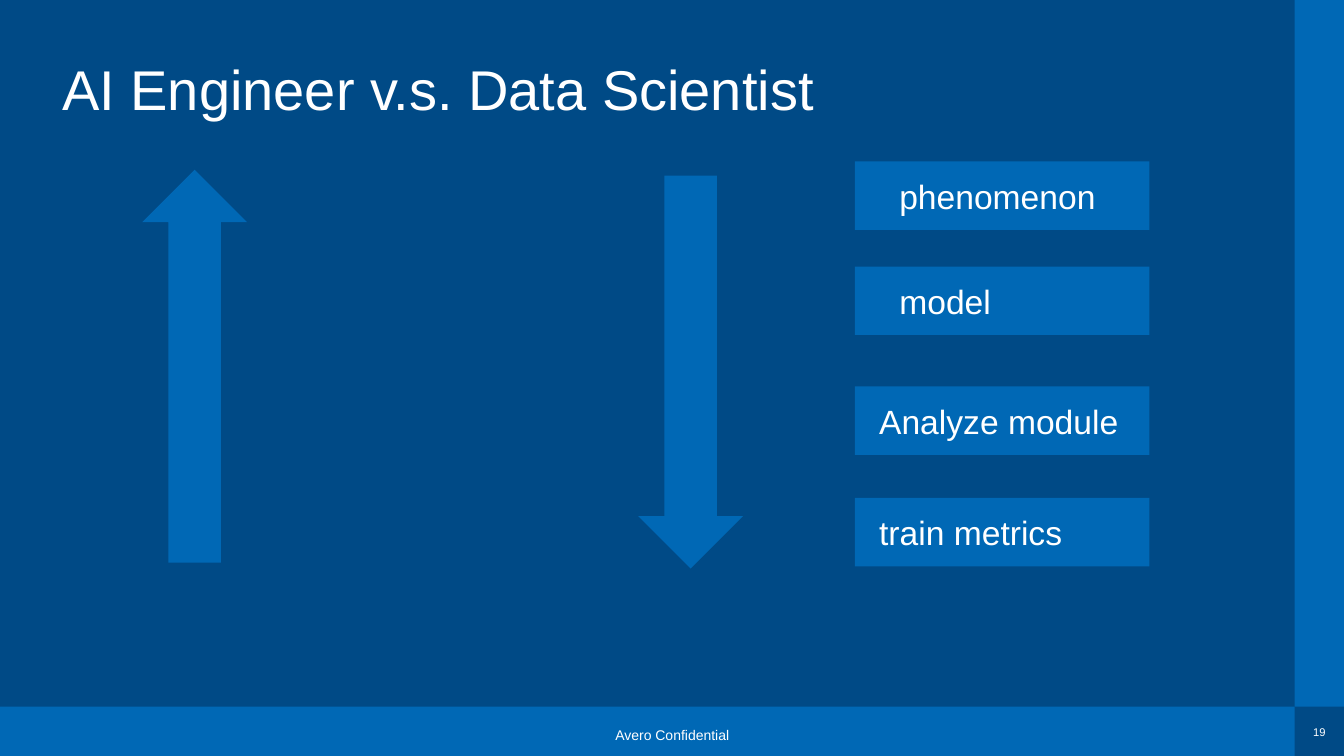
"""Build the AI engineer versus data scientist slide."""
from pptx import Presentation
from pptx.dml.color import RGBColor
from pptx.enum import shapes, text
from pptx.util import Pt

TITLE = "AI Engineer v.s. Data Scientist"
FOOTER = "Avero Confidential"
PAGE = "19"
STEPS = [
    ("phenomenon", 115.3, 31.7),
    ("model", 190.4, 31.7),
    ("Analyze module", 276, 17.3),
    ("train metrics", 355.7, 17.3),
]
ARROWS = [("DOWN_ARROW", 455.8, 125.5), ("UP_ARROW", 101.5, 121.2)]

THEME = {
    "font": "Arial", "ground": "004A86", "accent": "0068B5", "ink": "FFFFFF",
    "title": 40, "step": 24, "footer": 10, "page": 8,
}
WIDTH, HEIGHT, BAND = 960, 540, 35.3
STEP_LEFT, STEP_SIZE = 610.7, (210.3, 48.9)
ARROW_SIZE = (75, 280.6)

deck = Presentation()
deck.slide_width, deck.slide_height = Pt(WIDTH), Pt(HEIGHT)
slide = deck.slides.add_slide(deck.slide_layouts[6])
slide.background.fill.solid()
slide.background.fill.fore_color.rgb = RGBColor.from_string(THEME["ground"])


def block(kind, left, top, width, height):
    """Add a flat accent-coloured shape."""
    part = slide.shapes.add_shape(
        shapes.MSO_SHAPE[kind], Pt(left), Pt(top), Pt(width), Pt(height))
    part.shadow.inherit = False
    part.fill.solid()
    part.fill.fore_color.rgb = RGBColor.from_string(THEME["accent"])
    part.line.fill.background()
    return part


def write(part, words, size, align="LEFT", anchor="MIDDLE", inset=0, spacing=1.0, wrap=False):
    """Set the words of a part in the theme font."""
    frame = part.text_frame
    frame.word_wrap = wrap
    frame.vertical_anchor = text.MSO_ANCHOR[anchor]
    frame.margin_left = Pt(inset)
    frame.margin_right = frame.margin_top = frame.margin_bottom = 0
    line = frame.paragraphs[0]
    line.alignment = text.PP_ALIGN[align]
    line.line_spacing = spacing
    run = line.add_run()
    run.text = words
    run.font.name, run.font.size = THEME["font"], Pt(THEME[size])
    run.font.color.rgb = RGBColor.from_string(THEME["ink"])


def label(left, top, width, height, words, size, **style):
    """Add free-standing words."""
    box = slide.shapes.add_textbox(Pt(left), Pt(top), Pt(width), Pt(height))
    write(box, words, size, **style)


block("RECTANGLE", 0, HEIGHT - BAND, WIDTH - BAND, BAND)
block("RECTANGLE", WIDTH - BAND, 0, BAND, HEIGHT - BAND)
label(433.4, 517, 93.6, 18, FOOTER, "footer", align="CENTER", spacing=0.9)
label(937.4, 518.4, 10, 9.4, PAGE, "page", align="CENTER")
label(44.6, 44.6, 866.9, 74.9, TITLE, "title", anchor="TOP", spacing=0.9, wrap=True)

for words, top, inset in STEPS:
    step = block("RECTANGLE", STEP_LEFT, top, *STEP_SIZE)
    write(step, words, "step", inset=inset, wrap=True)

for kind, left, top in ARROWS:
    block(kind, left, top, *ARROW_SIZE)

deck.save("out.pptx")
